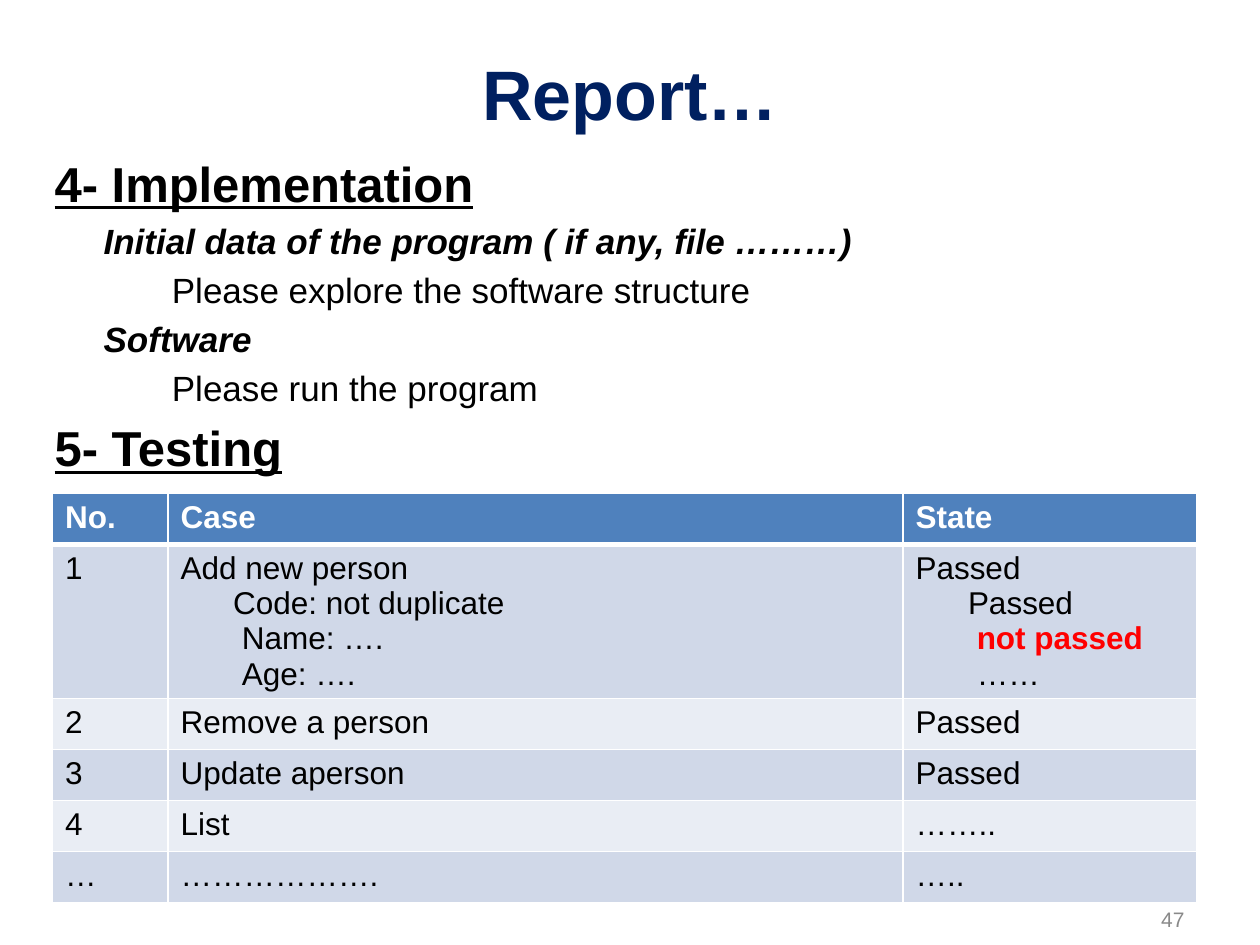
"""Build the report slide with its outline and table of test cases."""
from dataclasses import dataclass

from lxml.etree import SubElement
from pptx import Presentation
from pptx.dml.color import RGBColor as RGB
from pptx.enum.text import MSO_ANCHOR as Anchor, MSO_AUTO_SIZE as Auto, PP_ALIGN as Align
from pptx.oxml.ns import qn
from pptx.util import Pt


@dataclass(frozen=True)
class Theme:
    """Hold the colours, font and type sizes."""
    font: str = "Arial"
    navy: str = "002060"
    black: str = "000000"
    white: str = "FFFFFF"
    red: str = "FF0000"
    gray: str = "898989"
    blue: str = "4F81BD"
    bands: tuple = ("D0D8E8", "E9EDF4")
    title: int = 40
    head: int = 28
    body: int = 20
    cell: int = 18
    small: int = 12


LOOK = Theme()
HEAD = dict(size=LOOK.head, bold=True, line=True)
TOPIC = dict(size=LOOK.body, bold=True, slant=True, indent=28)
NOTE = dict(size=LOOK.body, indent=67)
OUTLINE = [
    ("4- Implementation", HEAD),
    ("Initial data of the program ( if any, file ………)", TOPIC),
    ("Please explore the software structure", NOTE),
    ("Software", TOPIC),
    ("Please run the program", NOTE),
    ("5- Testing", HEAD),
]
SUB = dict(indent=30)
DEEP = dict(indent=35)
FAIL = dict(indent=35, color=LOOK.red, bold=True)
CASES = [
    ("No.", "Case", "State"),
    ("1",
     [("Add new person", {}), ("Code: not duplicate", SUB),
      ("Name: ….", DEEP), ("Age: ….", DEEP)],
     [("Passed", {}), ("Passed", SUB), ("not passed", FAIL), ("……", DEEP)]),
    ("2", "Remove a person", "Passed"),
    ("3", "Update aperson", "Passed"),
    ("4", "List", "…….."),
    ("…", "……………….", "….."),
]
WIDTHS = (66, 420, 168)
ROW = 29.2


def write(para, text, size=LOOK.cell, color=LOOK.black, bold=False,
          slant=False, line=False, align=None, indent=0):
    """Put formatted text into a paragraph."""
    run = para.add_run()
    run.text = text
    font = run.font
    font.name, font.size = LOOK.font, Pt(size)
    font.bold, font.italic, font.underline = bold, slant, line
    font.color.rgb = RGB.from_string(color)
    para.alignment = align
    props = para._p.get_or_add_pPr()
    props.set("marL", str(Pt(indent)))
    props.set("indent", "0")
    SubElement(props, qn("a:buNone"))


def fill_in(frame, items):
    """Write one paragraph for each pair of text and format."""
    for i, (text, style) in enumerate(items):
        para = frame.add_paragraph() if i else frame.paragraphs[0]
        write(para, text, **style)


def place(shape, left, top, width, height, anchor):
    """Set the box and text anchor of a shape."""
    shape.left, shape.top = Pt(left), Pt(top)
    shape.width, shape.height = Pt(width), Pt(height)
    frame = shape.text_frame
    frame.word_wrap = True
    frame.auto_size = Auto.NONE
    frame.vertical_anchor = anchor
    return frame


def edge(cell, side, width):
    """Draw a white border on one side of a cell."""
    props = cell._tc.get_or_add_tcPr()
    rule = SubElement(props, qn(f"a:ln{side}"), w=str(Pt(width)))
    fill = SubElement(rule, qn("a:solidFill"))
    SubElement(fill, qn("a:srgbClr"), val=LOOK.white)


def add_cases(slide):
    """Add the table of test cases."""
    table = slide.shapes.add_table(
        len(CASES), len(WIDTHS), Pt(30), Pt(282),
        Pt(sum(WIDTHS)), Pt(ROW * len(CASES))).table
    for col, width in zip(table.columns, WIDTHS):
        col.width = Pt(width)
    for r, row in enumerate(CASES):
        table.rows[r].height = Pt(ROW)
        top = r == 0
        style = dict(color=LOOK.white, bold=True) if top else {}
        shade = LOOK.blue if top else LOOK.bands[(r - 1) % 2]
        for c, item in enumerate(row):
            cell = table.cell(r, c)
            fill_in(cell.text_frame, [(item, style)] if isinstance(item, str) else item)
            for side, width in zip("LRTB", (1, 1, 3 if r == 1 else 1, 3 if top else 1)):
                edge(cell, side, width)
            cell.fill.solid()
            cell.fill.fore_color.rgb = RGB.from_string(shade)


def main():
    """Build and save the slide."""
    deck = Presentation()
    deck.slide_width, deck.slide_height = Pt(720), Pt(540)
    slide = deck.slides.add_slide(deck.slide_layouts[1])
    title, body = slide.placeholders
    fill_in(place(title, 36, 21.6, 648, 62.4, Anchor.MIDDLE),
            [("Report…", dict(size=LOOK.title, color=LOOK.navy, bold=True, align=Align.CENTER))])
    fill_in(place(body, 24, 84, 672, 210, Anchor.TOP), OUTLINE)
    number = slide.shapes.add_textbox(0, 0, 0, 0)
    fill_in(place(number, 600, 516, 84, 18, Anchor.MIDDLE),
            [("47", dict(size=LOOK.small, color=LOOK.gray, align=Align.RIGHT))])
    add_cases(slide)
    deck.save("out.pptx")


main()
